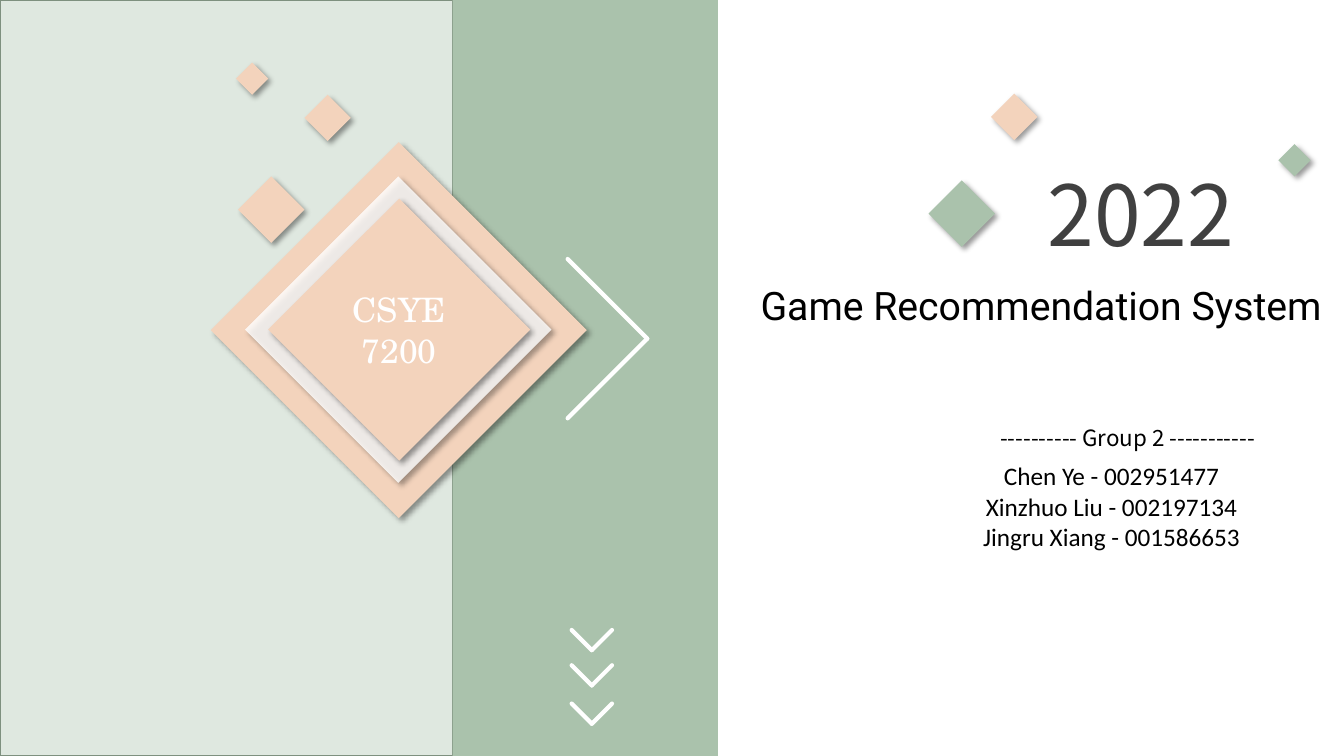
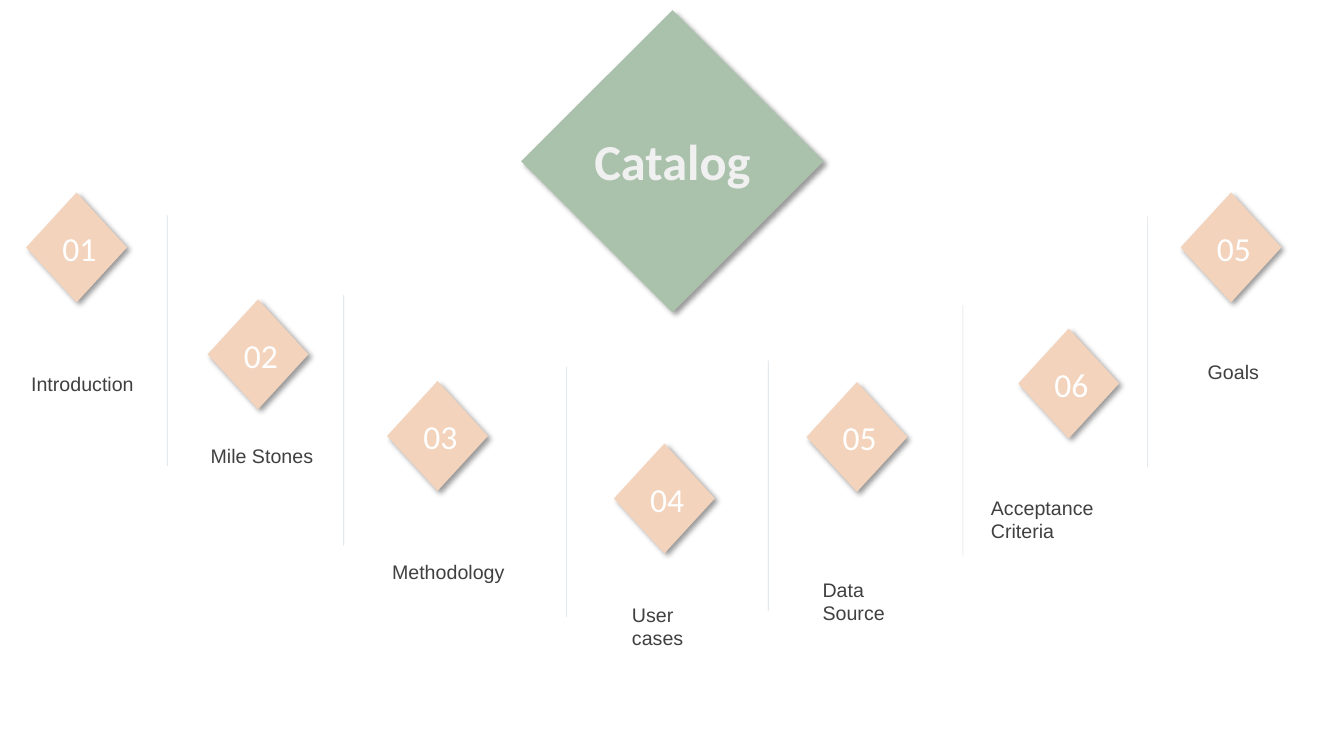
from lxml import etree
from pptx import Presentation
from pptx.dml.color import RGBColor
from pptx.enum import shapes, text
from pptx.oxml import ns
from pptx.util import Inches, Pt

SAGE = RGBColor(0xAA, 0xC2, 0xAC)
MOSS = RGBColor(0x7E, 0x90, 0x7F)
PEACH = RGBColor(0xF3, 0xD3, 0xBC)
WHITE = RGBColor(0xFF, 0xFF, 0xFF)
PALE = RGBColor(0xF0, 0xF0, 0xF0)
BLACK = RGBColor(0, 0, 0)
GREY = RGBColor(0x40, 0x40, 0x40)
NAVY = RGBColor(0x09, 0x37, 0x59)
SANS, BODY, LABEL = "Noto Sans CJK SC", "Calibri", "Arial"
LEFT, MID = text.PP_ALIGN.LEFT, text.PP_ALIGN.CENTER


class Deck:
    """Holds the shared style and the current slide."""

    def __init__(self):
        self.prs = Presentation()
        self.prs.slide_width = Inches(13.33)
        self.prs.slide_height = Inches(7.5)
        self.slide = None

    def page(self):
        self.slide = self.prs.slides.add_slide(self.prs.slide_layouts[6])

    def fade(self, node, alpha):
        color = node.find(".//" + ns.qn("a:srgbClr"))
        etree.SubElement(color, ns.qn("a:alpha"), val=str(alpha * 1000))

    def shape(self, kind, box, fill, alpha=100):
        item = self.slide.shapes.add_shape(kind, *map(Inches, box))
        item.shadow.inherit = False
        item.fill.solid()
        item.fill.fore_color.rgb = fill
        item.line.fill.background()
        if alpha < 100:
            self.fade(item.element.spPr, alpha)
        return item

    def band(self, left, width, alpha=100):
        return self.shape(shapes.MSO_SHAPE.RECTANGLE, (left, 0, width, 7.5), SAGE, alpha)

    def gem(self, left, top, width, fill=PEACH, height=None, alpha=100):
        box = (left, top, width, height or width)
        item = self.shape(shapes.MSO_SHAPE.DIAMOND, box, fill, alpha)
        effect = item.element.spPr.find(ns.qn("a:effectLst"))
        shade = etree.SubElement(
            effect, ns.qn("a:outerShdw"), blurRad=str(Pt(4)), dist=str(Pt(3)),
            dir="2700000", algn="tl", rotWithShape="0")
        etree.SubElement(shade, ns.qn("a:srgbClr"), val=str(BLACK))
        self.fade(shade, 40)
        return item

    def line(self, start, end, color=WHITE, width=3, alpha=100):
        item = self.slide.shapes.add_connector(
            shapes.MSO_CONNECTOR.STRAIGHT, *map(Inches, (*start, *end)))
        item.line.color.rgb = color
        item.line.width = Pt(width)
        props = item.element.spPr
        props.find(ns.qn("a:ln")).set("cap", "rnd")
        etree.SubElement(props, ns.qn("a:effectLst"))
        if alpha < 100:
            self.fade(props, alpha)

    def arrow(self, *points):
        for start, end in zip(points, points[1:]):
            self.line(start, end)

    def put(self, frame, rows, size, font, color, align=LEFT, bold=False):
        for i, row in enumerate(rows):
            para = frame.paragraphs[0] if i == 0 else frame.add_paragraph()
            para.alignment = align
            run = para.add_run()
            run.text = row
            run.font.size = Pt(size)
            run.font.name = font
            run.font.color.rgb = color
            run.font.bold = bold

    def note(self, box, rows, size, font, color, align=LEFT, bold=False, wrap=True):
        frame = self.slide.shapes.add_textbox(*map(Inches, box)).text_frame
        frame.word_wrap = wrap
        frame.auto_size = text.MSO_AUTO_SIZE.SHAPE_TO_FIT_TEXT
        self.put(frame, rows, size, font, color, align, bold)


def cover(deck):
    deck.page()
    edge = deck.band(0, 4.49, alpha=37).line
    edge.color.rgb = MOSS
    edge.width = Pt(1)
    deck.band(4.49, 2.63)

    deck.gem(2.09, 1.41, 3.73)
    deck.gem(2.43, 1.75, 3.04, WHITE, alpha=81)
    frame = deck.gem(2.66, 1.97, 2.6).text_frame
    frame.word_wrap = True
    frame.vertical_anchor = text.MSO_ANCHOR.MIDDLE
    deck.put(frame, ["CSYE 7200"], 24, "TeX Gyre Schola", WHITE, MID)

    for left, top, size, fill in (
            (2.36, 1.75, 0.66, PEACH), (3.02, 0.94, 0.46, PEACH),
            (2.34, 0.62, 0.32, PEACH), (9.21, 1.79, 0.66, SAGE),
            (9.83, 0.93, 0.46, PEACH), (12.68, 1.43, 0.32, SAGE)):
        deck.gem(left, top, size, fill)

    deck.arrow((5.63, 4.15), (6.42, 3.36), (5.63, 2.57))
    for top in (6.25, 6.6, 6.98):
        deck.arrow((6.07, top), (5.87, top + 0.2), (5.67, top))

    deck.note((10.29, 1.56, 2.77, 1.11), ["2022"], 60, SANS, GREY)
    deck.note((7.39, 2.74, 5.87, 0.57), ["Game Recommendation System"],
              28, "Roboto", BLACK, MID)
    deck.note((8.55, 4.16, 5.27, 0.37), ["---------- Group 2 -----------"],
              16, SANS, BLACK, MID)
    team = ["Chen Ye - 002951477", "Xinzhuo Liu - 002197134", "Jingru Xiang - 001586653"]
    deck.note((9.06, 4.52, 3.93, 1.01), team, 18, BODY, BLACK, MID)


def catalog(deck):
    deck.page()
    deck.gem(5.17, 0.1, 3, SAGE)
    deck.note((5.64, 1.24, 2.06, 0.71), ["Catalog"], 36, BODY, PALE, MID, True, False)

    for left, top in ((1.66, 2.14), (3.41, 2.93), (5.62, 3.64),
                      (7.62, 3.58), (9.55, 3.03), (11.38, 2.15)):
        deck.line((left, top), (left, top + 2.48), NAVY, 0.5, 17)

    for num, left, top, name, x, y, width, wrap in (
            ("01", 0.26, 1.91, "Introduction", 0.21, 3.64, 1.22, False),
            ("02", 2.06, 2.97, "Mile Stones", 1.99, 4.35, 1.22, False),
            ("03", 3.84, 3.78, "Methodology", 3.79, 5.51, 1.37, False),
            ("04", 6.09, 4.4, "User cases", 6.17, 5.93, 1.17, False),
            ("05", 8, 3.79, "Data Source", 8.06, 5.68, 1.28, False),
            ("06", 10.1, 3.26, "Acceptance Criteria", 9.73, 4.87, 1.4, True),
            ("05", 11.71, 1.91, "Goals", 11.88, 3.52, 0.77, False)):
        deck.gem(left, top, 1, height=1.09)
        deck.note((left + 0.26, top + 0.3, 0.65, 0.5), [num], 24, BODY, WHITE)
        deck.note((x, y, width, 0.34), [name], 14, LABEL, GREY, wrap=wrap)


def main():
    deck = Deck()
    cover(deck)
    catalog(deck)
    deck.prs.save("out.pptx")


if __name__ == "__main__":
    main()
